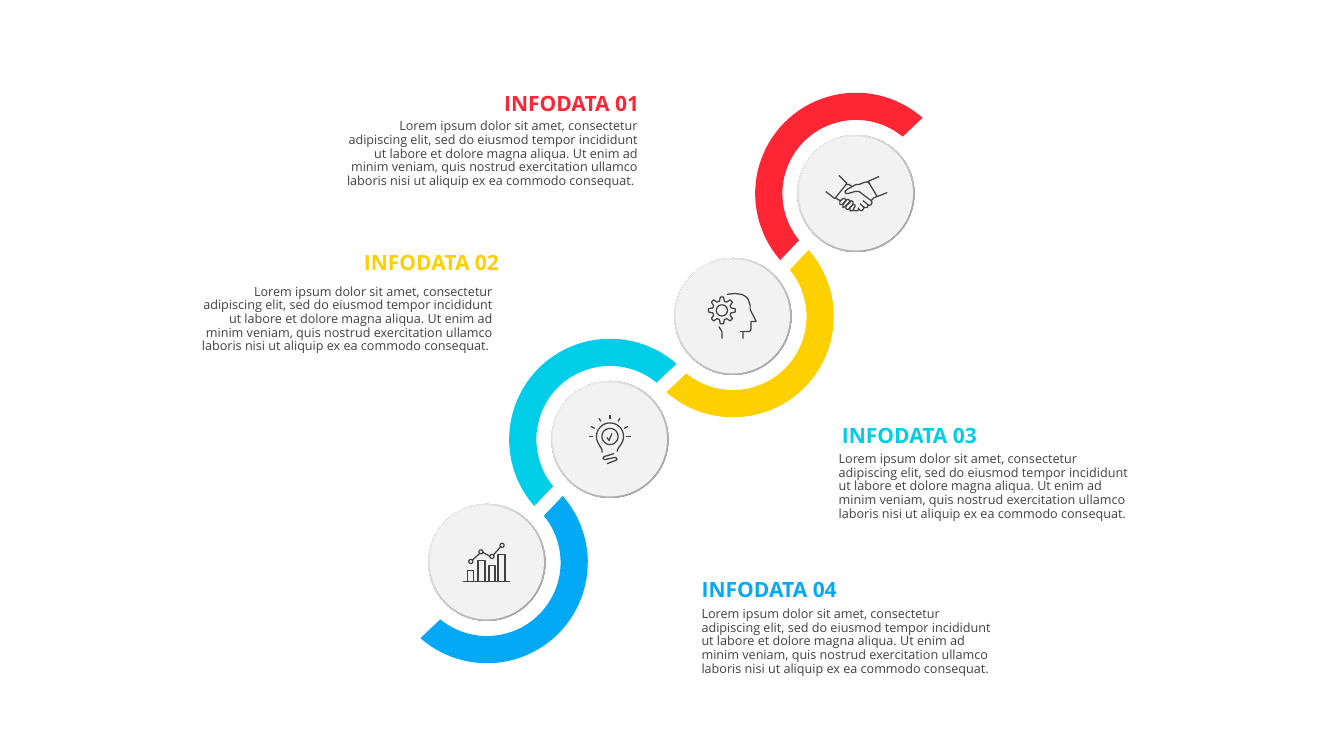
"""Build a slide with a diagonal chain of four icon discs, coloured arcs and captions."""
from math import cos, radians, sin

from pptx import Presentation
from pptx.dml.color import RGBColor
from pptx.enum.shapes import MSO_SHAPE
from pptx.enum.text import MSO_AUTO_SIZE, PP_ALIGN
from pptx.util import Inches, Pt

OVAL = MSO_SHAPE.OVAL
LEFT, RIGHT = PP_ALIGN.LEFT, PP_ALIGN.RIGHT
FIT = MSO_AUTO_SIZE.SHAPE_TO_FIT_TEXT

FONT = "Open Sans"
COLORS = {"red": "FE2635", "yellow": "FFD000", "cyan": "00CEE8", "blue": "03A9F4",
          "ink": "414042", "disc": "F2F2F2", "shade": "979797", "light": "FFFFFF"}
LOREM = ("Lorem ipsum dolor sit amet, consectetur adipiscing elit, sed do eiusmod tempor "
         "incididunt ut labore et dolore magna aliqua. Ut enim ad minim veniam, quis nostrud "
         "exercitation ullamco laboris nisi ut aliquip ex ea commodo consequat.")

STEPS = [
    ("INFODATA 01", "red", (5, 0.9), (3.32, 1.14), RIGHT, LOREM + " "),
    ("INFODATA 02", "yellow", (3.61, 2.48), (1.88, 2.78), RIGHT, LOREM + " "),
    ("INFODATA 03", "cyan", (8.35, 4.19), (8.22, 4.44), LEFT, LOREM),
    ("INFODATA 04", "blue", (6.96, 5.72), (6.86, 5.98), LEFT, LOREM),
]
TITLE_SIZE, BODY_SIZE = (1.35, 0.25), (3.1, 1.06)
FIRST_CENTRE, PITCH = (8.49, 1.92), 1.22
OUTER, INNER = 1.0, 0.73
RIM, FACE = 1.16, 1.13
UNIT = 0.01


def arc(cx, cy, radius, start, end, count=48):
    """Return points along a clockwise arc, with angles in degrees."""
    angles = [radians(start + (end - start) * i / count) for i in range(count + 1)]
    return [(cx + radius * cos(a), cy + radius * sin(a)) for a in angles]


def circle(cx, cy, radius):
    """Return the points of a full circle."""
    return arc(cx, cy, radius, 0, 360)


def bar(left, top, right, bottom=19):
    """Return the outline of one bar."""
    return [(left, top), (left, bottom), (right, bottom), (right, top), (left, top)]


def gear(cx, cy, teeth=8):
    """Return the outline of a gear wheel."""
    corners = [(9.4, -15), (13.3, -7), (13.3, 7), (9.4, 15)]
    points = [arc(cx, cy, r, 360 * k / teeth + a, 360, 1)[0]
              for k in range(teeth) for r, a in corners]
    return points + points[:1]


HANDSHAKE = [
    [(23, -17), (12, -12), (21, 3), (31, -1)],
    [(14, -10), (11, -11.5), (8, -11), (3, -9), (0, -9), (-9, -4), (-11, -2), (-10, 0),
     (-8, 0), (-1, -2), (3, -2), (15, 7)],
    [(21, 3), (18, 4), (17, 5), (15, 7)],
    [(-30, -2), (-21, 5), (-9, -10), (-17, -18)],
    [(-20, 4), (-18, 6), (-15, 7)],
    [(-4, -7), (-7, -9), (-10, -9)],
    [(-14, 11), (-16, 11), (-16, 8), (-13, 5), (-11, 5), (-10, 7), (-11, 8), (-14, 11)],
    [(-11, 13), (-6, 9), (-7, 6), (-9, 6), (-13, 11), (-13, 14), (-11, 13)],
    [(-7, 15), (-3, 11), (-3, 8), (-5, 7), (-6, 8), (-10, 12), (-10, 15), (-8, 16), (-7, 15)],
    [(-2, 14), (-1, 13), (-1, 11), (-3, 11), (-4, 12), (-6, 14), (-6, 17), (-3, 17), (-2, 14)],
    [(7, 7), (13, 12), (15, 11), (16, 9), (15, 7)],
    [(4, 10), (7, 13), (9, 14), (11, 14), (12, 12), (12, 11)],
    [(2, 14), (3, 16), (5, 17), (7, 16), (8, 14), (7, 13)],
    [(-3, 16), (-1, 17), (1, 17), (3, 16), (3, 15)],
]
THINKER = [
    [(-6, -22), (2, -22.8), (9, -21.8), (13, -19.5), (15.3, -16.4), (17, -11), (17, -7),
     (23, 5), (18, 5), (18, 12), (17.5, 14), (16, 15), (10, 15), (10, 22)],
    [(10, 15), (7, 15)],
    [(-11, 22), (-11, 15), (-14, 10)],
    gear(-11, -6), circle(-11, -6, 5.5),
]
BULB = [
    [(-8, 13), (-8, 10)] + arc(0, -3, 13.4, 147, 393) + [(8, 9), (7, 12)],
    circle(0, -3, 8),
    [(-3, -2), (-1, 1), (2, -6)],
    [(0, -20), (0, -24)], [(-9, -18), (-11, -21)], [(-19, -13), (-15, -11)],
    [(-21, -3), (-17, -3)], [(10, -21), (8, -18)], [(18, -13), (14, -11)], [(16, -3), (21, -3)],
    [(4, 14), (-6, 17), (-7, 19), (-5, 20), (4, 18), (6, 18), (7, 20), (5, 21), (-3, 24)],
]
CHART = [
    [(-24, 19), (23, 19)],
    bar(-19, 8, -13), bar(-9, -2, -2), bar(2, 3, 8), bar(11, -8, 18),
    circle(-16, -1, 2), circle(-6, -10.5, 2), circle(5, -6, 2), circle(15, -17, 2),
    [(-15, -2), (-7, -9)], [(-4, -10), (3, -6)], [(6, -7), (14, -16)],
]
ICONS = [HANDSHAKE, THINKER, BULB, CHART]


def rgb(name):
    """Return a named colour."""
    return RGBColor.from_string(COLORS[name])


def draw(shapes, centre, strokes, scale, close):
    """Draw strokes, given relative to a centre, as one freeform."""
    placed = [[(Inches(centre[0] + x * scale), Inches(centre[1] + y * scale))
               for x, y in stroke] for stroke in strokes]
    fb = shapes.build_freeform(*placed[0][0], scale=1.0)
    for i, points in enumerate(placed):
        if i:
            fb.move_to(*points[0])
        fb.add_line_segments(points[1:], close=close)
    sp = fb.convert_to_shape()
    sp.shadow.inherit = False
    return sp


def add_arc(shapes, centre, color, turn):
    """Draw one coloured half ring."""
    outline = (arc(0, 0, OUTER, turn - 41.3, turn + 131.3)
               + arc(0, 0, INNER, turn + 129.4, turn - 39.4))
    sp = draw(shapes, centre, [outline], 1, True)
    sp.fill.solid()
    sp.fill.fore_color.rgb = rgb(color)
    sp.line.fill.background()


def add_disc(shapes, centre):
    """Draw a grey disc with a shaded rim."""
    group = shapes.add_group_shape()
    for size in (RIM, FACE):
        sp = group.shapes.add_shape(OVAL, Inches(centre[0] - size / 2),
                                    Inches(centre[1] - size / 2), Inches(size), Inches(size))
        sp.shadow.inherit = False
        sp.line.fill.background()
        if size == FACE:
            sp.fill.solid()
            sp.fill.fore_color.rgb = rgb("disc")
        else:
            sp.fill.gradient()
            sp.fill.gradient_angle = 135
            for stop, name, position in zip(sp.fill.gradient_stops, ("shade", "light"), (0, 1)):
                stop.color.rgb = rgb(name)
                stop.position = position


def add_icon(shapes, centre, strokes):
    """Draw a line icon."""
    sp = draw(shapes, centre, strokes, UNIT, False)
    sp.fill.background()
    sp.line.color.rgb = rgb("ink")
    sp.line.width = Pt(0.88)


def add_text(shapes, at, size, text, points, color, bold=False, align=LEFT):
    """Add a text box of one run and return its frame and paragraph."""
    tf = shapes.add_textbox(*map(Inches, at + size)).text_frame
    tf.word_wrap = True
    p = tf.paragraphs[0]
    p.alignment = align
    r = p.add_run()
    r.text = text
    r.font.name, r.font.size, r.font.bold = FONT, Pt(points), bold
    r.font.color.rgb = rgb(color)
    return tf, p


def main():
    """Build and save the slide."""
    prs = Presentation()
    prs.slide_width, prs.slide_height = Inches(13.33), Inches(7.5)
    shapes = prs.slides.add_slide(prs.slide_layouts[6]).shapes
    centres = [(FIRST_CENTRE[0] - i * PITCH, FIRST_CENTRE[1] + i * PITCH)
               for i in range(len(STEPS))]
    for i, (centre, step) in enumerate(zip(centres, STEPS)):
        add_arc(shapes, centre, step[1], 0 if i % 2 else 180)
    for centre, icon in zip(centres, ICONS):
        add_disc(shapes, centre)
        add_icon(shapes, centre, icon)
    for title, color, title_at, body_at, align, body in STEPS:
        tf, p = add_text(shapes, title_at, TITLE_SIZE, title, 15, color, bold=True)
        tf.margin_left = tf.margin_right = tf.margin_top = tf.margin_bottom = 0
        tf.word_wrap, tf.auto_size = False, FIT
        tf, p = add_text(shapes, body_at, BODY_SIZE, body, 9, "ink", align=align)
        p.line_spacing, p.space_before = 0.9, Pt(10)
    prs.save("out.pptx")


if __name__ == "__main__":
    main()
